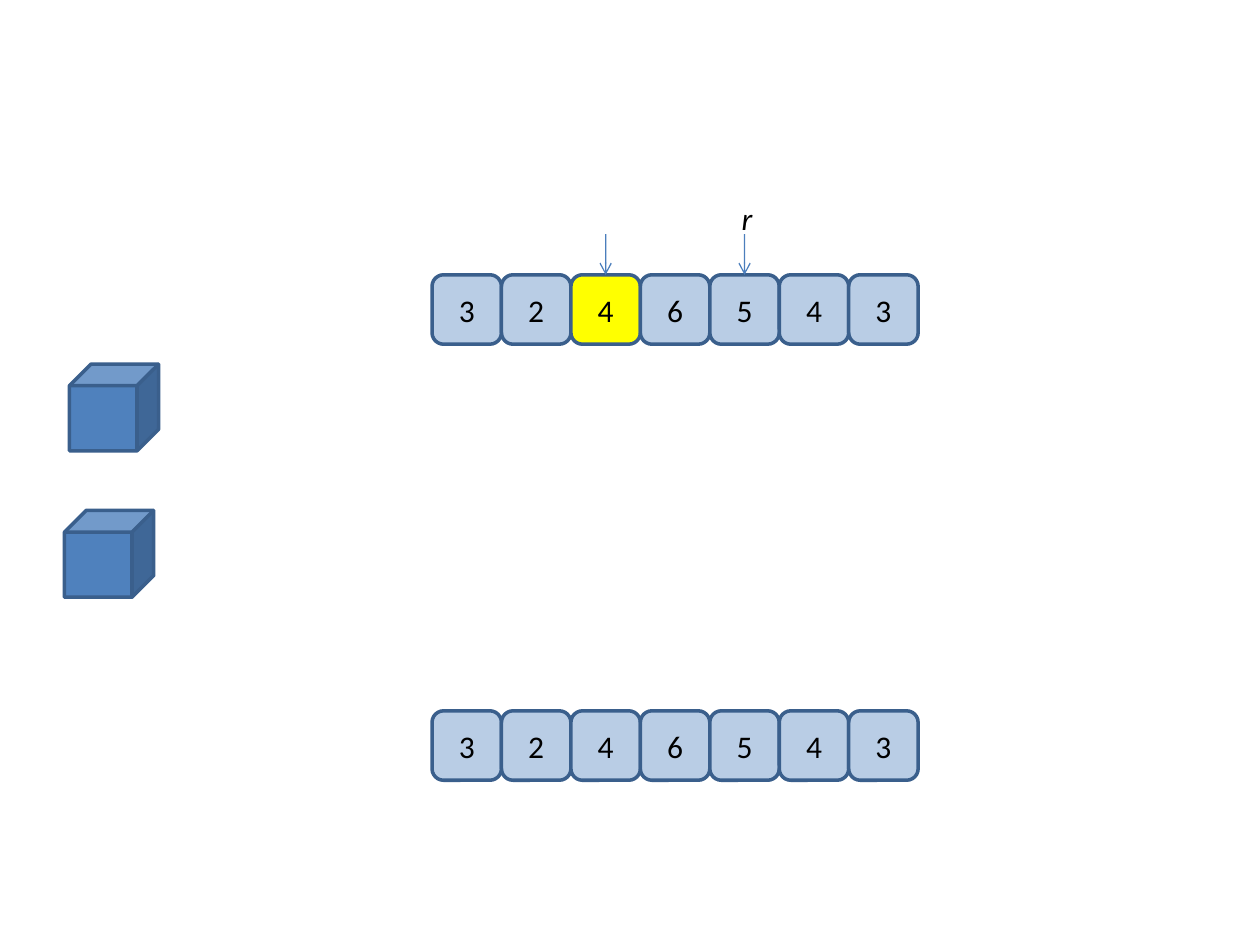
from lxml.etree import SubElement
from pptx import Presentation
from pptx.dml.color import RGBColor
from pptx.enum.shapes import MSO_CONNECTOR, MSO_SHAPE
from pptx.enum.text import MSO_ANCHOR, MSO_AUTO_SIZE, PP_ALIGN
from pptx.oxml.ns import qn
from pptx.util import Cm, Pt

LIGHT_BLUE = RGBColor(0xB9, 0xCD, 0xE5)
BLUE = RGBColor(0x4F, 0x81, 0xBD)
OUTLINE = RGBColor(0x3A, 0x5F, 0x8C)
ARROW = RGBColor(0x4B, 0x7E, 0xBC)
YELLOW = RGBColor(0xFF, 0xFF, 0x00)
BLACK = RGBColor(0, 0, 0)

VALUES = [3, 2, 4, 6, 5, 4, 3]
CELL = 1.4
ROW_LEFT = 8.71
TOP_ROW, BOTTOM_ROW = 5.54, 14.33
ARROW_TOP = 4.72

prs = Presentation()
prs.slide_width, prs.slide_height = Cm(25.4), Cm(19.05)
s = prs.slides.add_slide(prs.slide_layouts[6])


def add_block(kind, left, top, width, height, fill):
    sp = s.shapes.add_shape(kind, Cm(left), Cm(top), Cm(width), Cm(height))
    sp.shadow.inherit = False
    sp.fill.solid()
    sp.fill.fore_color.rgb = fill
    sp.line.color.rgb = OUTLINE
    sp.line.width = Pt(2)
    return sp


def set_text(tf, text, italic=False):
    p = tf.paragraphs[0]
    p.text = text
    p.font.name = "Calibri"
    p.font.size = Pt(18)
    p.font.italic = italic
    p.font.color.rgb = BLACK
    return p


# Cubes
for left, top in [(1.3, 10.29), (1.4, 7.34)]:
    add_block(MSO_SHAPE.CUBE, left, top, 1.8, 1.75, BLUE)

# Array rows; the third cell of the top row is highlighted
top_cells = []
for top, highlight in [(BOTTOM_ROW, None), (TOP_ROW, 2)]:
    for i, value in enumerate(VALUES):
        fill = YELLOW if i == highlight else LIGHT_BLUE
        sp = add_block(MSO_SHAPE.ROUNDED_RECTANGLE, ROW_LEFT + i * CELL, top, CELL, CELL, fill)
        sp.text_frame.vertical_anchor = MSO_ANCHOR.MIDDLE
        set_text(sp.text_frame, str(value)).alignment = PP_ALIGN.CENTER
        if top == TOP_ROW:
            top_cells.append(sp)

# Arrows pointing at the third and fifth cells
for i in (2, 4):
    x = Cm(ROW_LEFT + (i + 0.5) * CELL)
    arrow = s.shapes.add_connector(MSO_CONNECTOR.STRAIGHT, x, Cm(ARROW_TOP), x, Cm(TOP_ROW))
    arrow.end_connect(top_cells[i], 0)
    arrow.line.color.rgb = ARROW
    arrow.line.width = Pt(0.75)
    SubElement(arrow.line._get_or_add_ln(), qn("a:tailEnd"), type="arrow")
    SubElement(arrow._element.spPr, qn("a:effectLst"))

# Label of the right arrow
label = s.shapes.add_textbox(Cm(14.7), Cm(3.89), Cm(0.74), Cm(1.02))
tf = label.text_frame
tf.word_wrap = False
tf.auto_size = MSO_AUTO_SIZE.SHAPE_TO_FIT_TEXT
set_text(tf, "r", italic=True)

prs.save("out.pptx")
